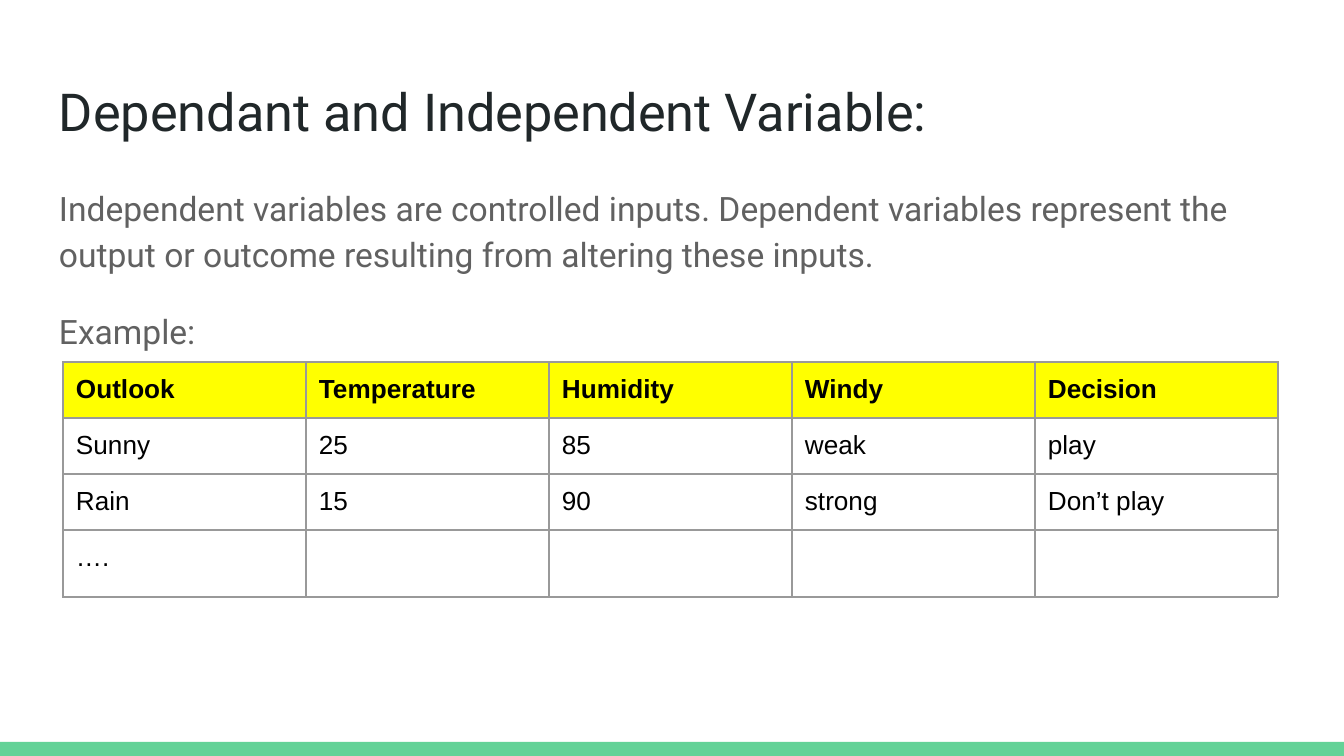
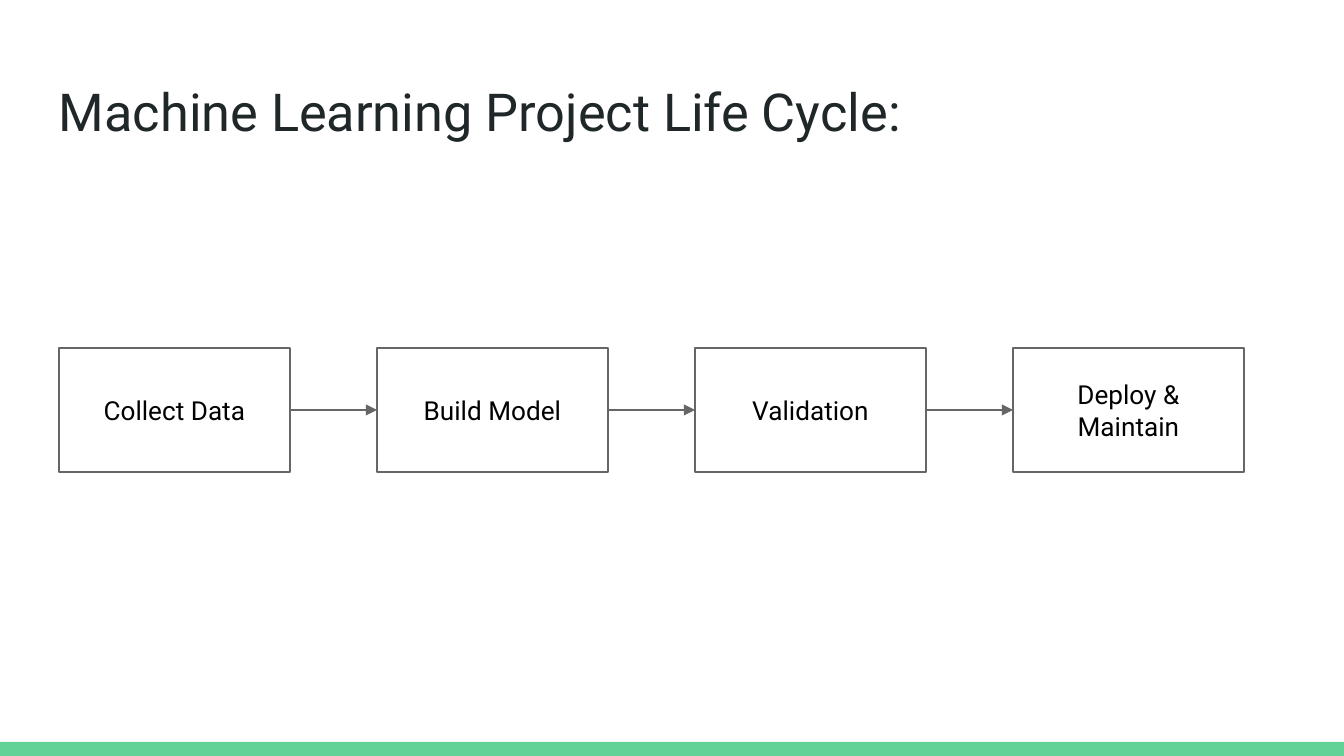
from dataclasses import dataclass

from lxml.etree import SubElement
from pptx import Presentation
from pptx.dml.color import RGBColor
from pptx.enum.shapes import MSO_CONNECTOR as Connector, MSO_SHAPE as Preset
from pptx.enum.text import MSO_ANCHOR as Anchor, MSO_AUTO_SIZE as AutoSize, PP_ALIGN as Align
from pptx.oxml.ns import qn
from pptx.util import Emu, Pt

# Shared measures, colours and fonts
EMU_PER_PIXEL = 914400 / 134.4
PAGE_WIDTH, PAGE_HEIGHT = 1344, 756
INSET = 13
GREEN, DARK, GREY = "63D297", "202729", "616161"
BLACK, YELLOW, RULE, OUTLINE = "000000", "FFFF00", "999999", "666666"
SANS, TABLE_FONT = "Roboto", "Arial"
TITLE_ONLY, TITLE_AND_BODY = 5, 1
LINE_WIDTH = Pt(0.75)


@dataclass(frozen=True)
class Area:
    left: int
    top: int
    width: int
    height: int

    def emu(self) -> list[Emu]:
        return [px(n) for n in (self.left, self.top, self.width, self.height)]


@dataclass(frozen=True)
class TextStyle:
    size: int
    color: str
    font: str = SANS
    bold: bool = False
    align: Align = Align.LEFT
    spacing: float = 1.0


TITLE = TextStyle(28, DARK)
BODY = TextStyle(18, GREY, spacing=1.15)
STEP = TextStyle(14, BLACK, align=Align.CENTER)
CELL = TextStyle(14, BLACK, TABLE_FONT)
HEADER = TextStyle(14, BLACK, TABLE_FONT, bold=True)

TITLE_AREA = Area(46, 66, 1252, 84)
BODY_AREA = Area(46, 169, 1252, 503)
BAND_AREA = Area(0, 742, PAGE_WIDTH, 14)


def px(pixels: int) -> Emu:
    return Emu(round(pixels * EMU_PER_PIXEL))


def rgb(color: str) -> RGBColor:
    return RGBColor.from_string(color)


# Text
def write(para, text: str, style: TextStyle, before: int = 0) -> None:
    para.alignment = style.align
    para.line_spacing = style.spacing
    para.space_before, para.space_after = Pt(before), Pt(0)
    span = para.add_run()
    span.text = text
    span.font.name, span.font.size = style.font, Pt(style.size)
    span.font.bold = style.bold
    span.font.color.rgb = rgb(style.color)


def set_frame(frame, anchor: Anchor) -> None:
    frame.word_wrap = True
    frame.auto_size = AutoSize.NONE
    frame.vertical_anchor = anchor
    frame.margin_left = frame.margin_right = px(INSET)
    frame.margin_top = frame.margin_bottom = px(INSET)


def fill_placeholder(holder, area: Area, texts: list[str], style: TextStyle,
                     gap: int = 0) -> None:
    holder.left, holder.top, holder.width, holder.height = area.emu()
    frame = holder.text_frame
    set_frame(frame, Anchor.TOP)
    for index, text in enumerate(texts):
        para = frame.add_paragraph() if index else frame.paragraphs[0]
        write(para, text, style, gap if index else 0)
        props = para._p.get_or_add_pPr()
        props.set("marL", "0")
        props.set("indent", "0")
        SubElement(props, qn("a:buNone"))


# Shapes
def add_box(page, area: Area, fill: str | None = None, line: str | None = None):
    box = page.shapes.add_shape(Preset.RECTANGLE, *area.emu())
    box.shadow.inherit = False
    if fill:
        box.fill.solid()
        box.fill.fore_color.rgb = rgb(fill)
    else:
        box.fill.background()
    if line:
        box.line.color.rgb = rgb(line)
        box.line.width = LINE_WIDTH
    else:
        box.line.fill.background()
    return box


def add_arrow(page, source, target) -> None:
    arrow = page.shapes.add_connector(Connector.STRAIGHT, 0, 0, 0, 0)
    arrow.begin_connect(source, 3)
    arrow.end_connect(target, 1)
    arrow.line.color.rgb = rgb(OUTLINE)
    arrow.line.width = LINE_WIDTH
    SubElement(arrow.line._get_or_add_ln(), qn("a:tailEnd"), type="triangle")
    SubElement(arrow._element.spPr, qn("a:effectLst"))


def add_page(deck, layout: int, title: str):
    page = deck.slides.add_slide(deck.slide_layouts[layout])
    add_box(page, BAND_AREA, fill=GREEN)
    fill_placeholder(page.shapes.title, TITLE_AREA, [title], TITLE)
    return page


# Table
def set_borders(cell, color: str) -> None:
    props = cell._tc.get_or_add_tcPr()
    for side in ("lnL", "lnR", "lnT", "lnB"):
        line = SubElement(props, qn(f"a:{side}"), w=str(LINE_WIDTH))
        SubElement(SubElement(line, qn("a:solidFill")), qn("a:srgbClr"), val=color)


def add_grid(page, left: int, top: int, column: int, row: int,
             rows: list[list[str]]) -> None:
    area = Area(left, top, column * len(rows[0]), row * len(rows))
    table = page.shapes.add_table(len(rows), len(rows[0]), *area.emu()).table
    table.first_row = table.horz_banding = False
    for row_index, texts in enumerate(rows):
        for column_index, text in enumerate(texts):
            cell = table.cell(row_index, column_index)
            cell.margin_left = cell.margin_right = px(INSET)
            cell.margin_top = cell.margin_bottom = px(INSET)
            set_borders(cell, RULE)
            if row_index == 0:
                cell.fill.solid()
                cell.fill.fore_color.rgb = rgb(YELLOW)
            else:
                cell.fill.background()
            if text:
                write(cell.text_frame.paragraphs[0], text,
                      CELL if row_index else HEADER)


# Pages
def add_variables_page(deck) -> None:
    page = add_page(deck, TITLE_AND_BODY, "Dependant and Independent Variable:")
    fill_placeholder(page.placeholders[1], BODY_AREA, [
        "Independent variables are controlled inputs. Dependent variables "
        "represent the output or outcome resulting from altering these inputs.",
        "Example:",
    ], BODY, gap=16)
    add_grid(page, left=63, top=362, column=243, row=56, rows=[
        ["Outlook", "Temperature", "Humidity", "Windy", "Decision"],
        ["Sunny", "25", "85", "weak", "play"],
        ["Rain", "15", "90", "strong", "Don’t play"],
        ["….", "", "", "", ""],
    ])


def add_cycle_page(deck) -> None:
    page = add_page(deck, TITLE_ONLY, "Machine Learning Project Life Cycle:")
    steps = ["Collect Data", "Build Model", "Validation", "Deploy & Maintain"]
    left, pitch = 59, 318
    boxes = []
    for index, step in enumerate(steps):
        box = add_box(page, Area(left + index * pitch, 348, 231, 124), line=OUTLINE)
        set_frame(box.text_frame, Anchor.MIDDLE)
        write(box.text_frame.paragraphs[0], step, STEP)
        boxes.append(box)
    for source, target in zip(boxes, boxes[1:]):
        add_arrow(page, source, target)


def main() -> None:
    deck = Presentation()
    deck.slide_width, deck.slide_height = px(PAGE_WIDTH), px(PAGE_HEIGHT)
    add_variables_page(deck)
    add_cycle_page(deck)
    deck.save("out.pptx")


main()
